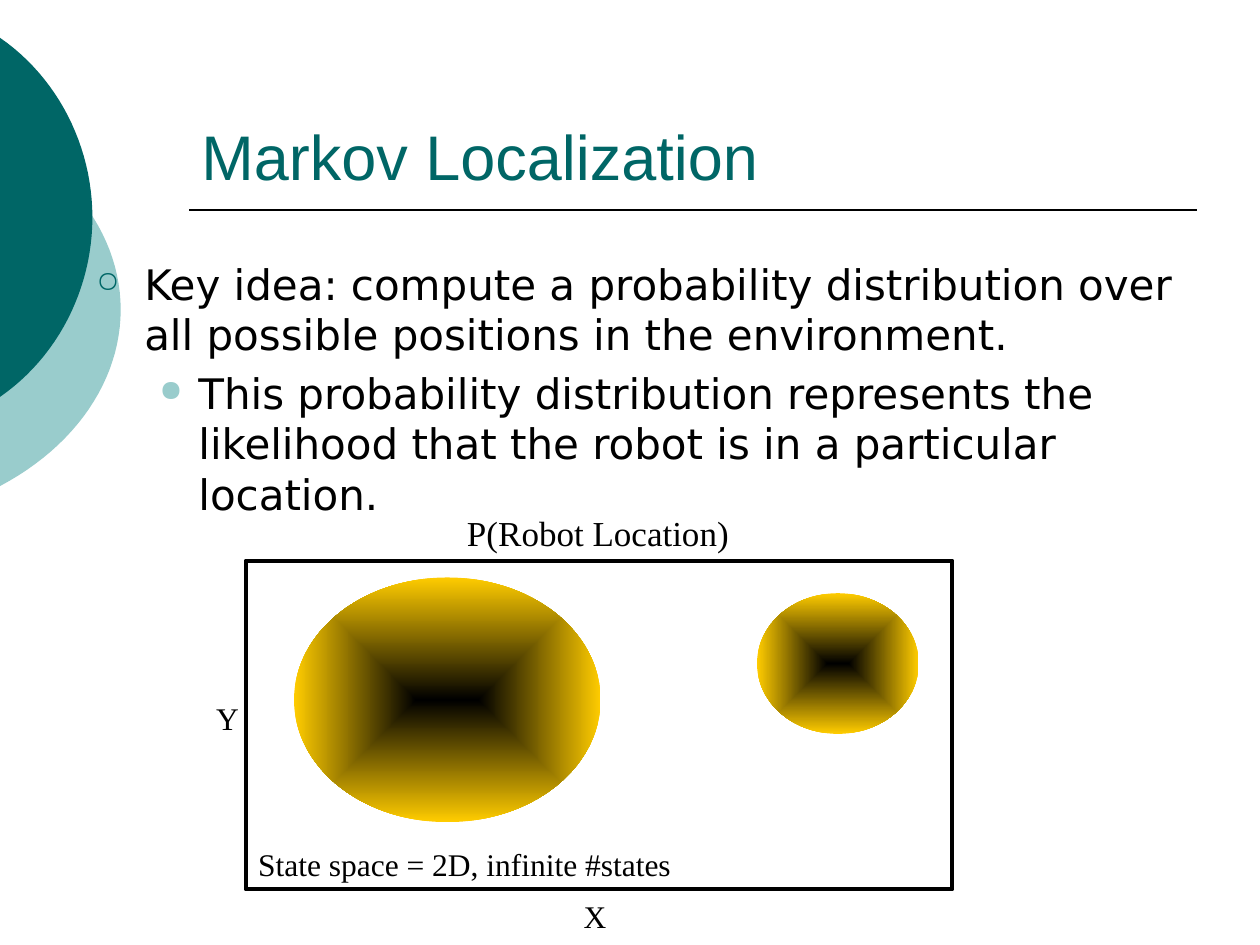
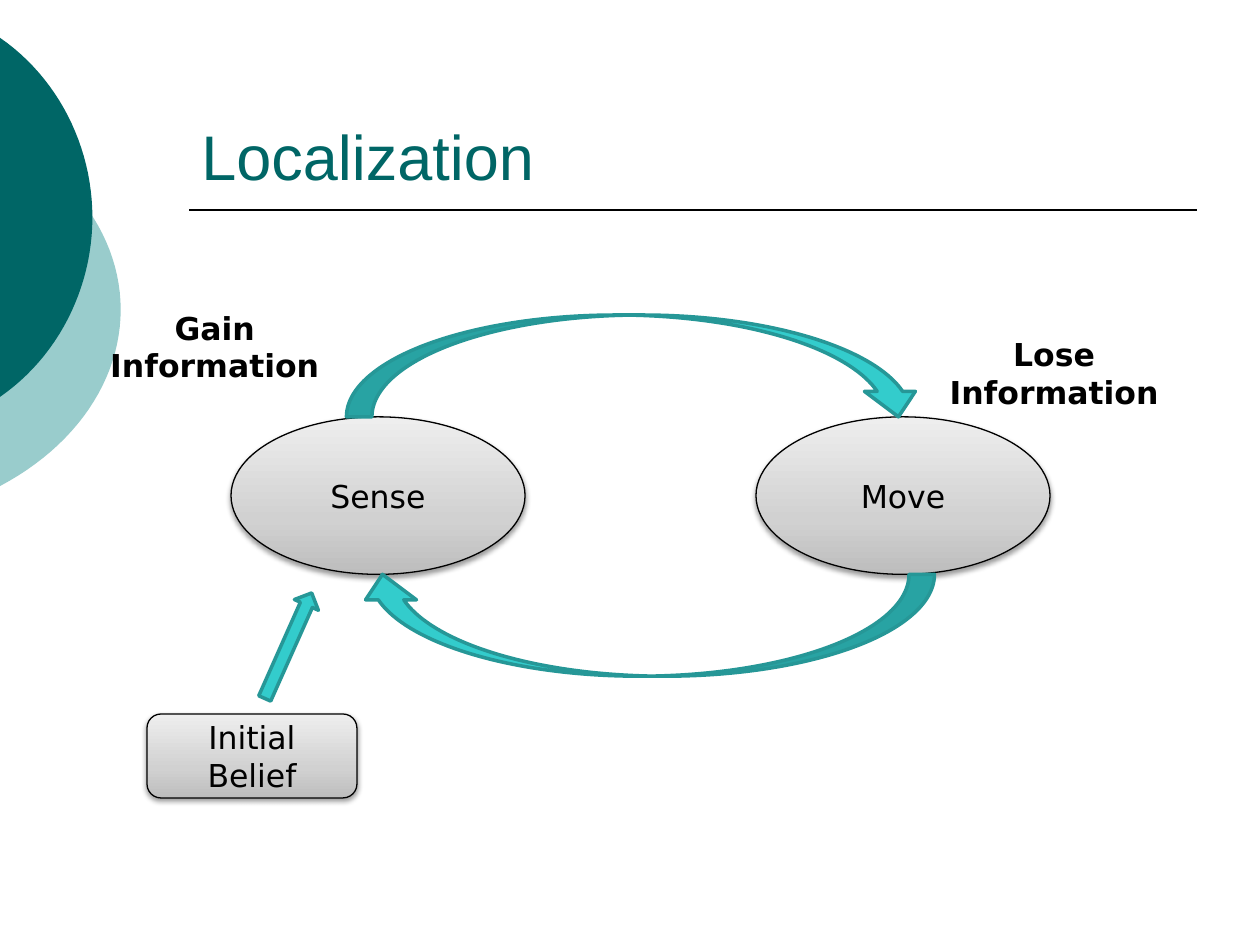
from lxml import etree
from pptx import Presentation
from pptx.dml.color import RGBColor
from pptx.enum.shapes import MSO_CONNECTOR, MSO_SHAPE
from pptx.enum.text import MSO_ANCHOR, PP_ALIGN
from pptx.oxml import parse_xml
from pptx.oxml.ns import nsdecls, qn
from pptx.util import Inches, Pt

DARK_TEAL = RGBColor(0x00, 0x66, 0x66)
PALE_TEAL = RGBColor(0x99, 0xCC, 0xCC)
TURQUOISE = RGBColor(0x33, 0xCC, 0xCC)
TURQUOISE_EDGE = RGBColor(0x26, 0x97, 0x97)
GOLD = RGBColor(0xFF, 0xCC, 0x00)
BLACK = RGBColor(0x00, 0x00, 0x00)
GREYS = [(0, RGBColor(0xBD, 0xBD, 0xBD)), (35, RGBColor(0xD1, 0xD1, 0xD1)),
         (100, RGBColor(0xEE, 0xEE, 0xEE))]
TITLE_FONT, BODY_FONT, LABEL_FONT = "Arial", "DejaVu Sans", "Times New Roman"

OVAL, RECTANGLE = MSO_SHAPE.OVAL, MSO_SHAPE.RECTANGLE
ROUNDED, UP_ARROW = MSO_SHAPE.ROUNDED_RECTANGLE, MSO_SHAPE.UP_ARROW
CURVED_ARROW = MSO_SHAPE.CURVED_DOWN_ARROW
STRAIGHT = MSO_CONNECTOR.STRAIGHT
LEFT, CENTER = PP_ALIGN.LEFT, PP_ALIGN.CENTER
TOP, MIDDLE, BOTTOM = MSO_ANCHOR.TOP, MSO_ANCHOR.MIDDLE, MSO_ANCHOR.BOTTOM

# The slide is a grid of 120 columns by 90 rows of square cells.
CELL = Inches(10) / 120


def add_part(slide, cells, kind=None, text="", size=18, font=BODY_FONT, color=BLACK,
             bold=False, align=LEFT, anchor=TOP, wrap=True, line=None):
    """Add a preset shape, or a text box if kind is None, at cells (left, top, width, height)."""
    box = [round(n * CELL) for n in cells]
    if kind is None:
        part = slide.shapes.add_textbox(*box)
    else:
        part = slide.shapes.add_shape(kind, *box)
        part.shadow.inherit = False
        part.fill.background()
        if line:
            part.line.color.rgb, part.line.width = line[0], Pt(line[1])
        else:
            part.line.fill.background()
    frame = part.text_frame
    frame.word_wrap, frame.vertical_anchor = wrap, anchor
    if text:
        frame.text = text
        for paragraph in frame.paragraphs:
            paragraph.alignment = align
            style = paragraph.runs[0].font
            style.size, style.name, style.bold = Pt(size), font, bold
            style.color.rgb = color
    return part


def fill_gradient(shape, stops, direction):
    stop_xml = "".join(f'<a:gs pos="{share * 1000}"><a:srgbClr val="{color}"/></a:gs>'
                       for share, color in stops)
    no_fill = shape.fill._xPr.find(qn("a:noFill"))
    no_fill.getparent().replace(no_fill, parse_xml(
        f'<a:gradFill {nsdecls("a")} rotWithShape="1"><a:gsLst>{stop_xml}</a:gsLst>'
        f'{direction}</a:gradFill>'))


FROM_CENTER = ('<a:path path="shape"><a:fillToRect l="50000" t="50000" r="50000" b="50000"/>'
               '</a:path>')
UPWARD = '<a:lin ang="16200000" scaled="0"/>'

prs = Presentation()
prs.slide_width, prs.slide_height = Inches(10), Inches(7.5)

# Shared frame: two circle segments at the left edge, title and rule
SEGMENTS = [
    (PALE_TEAL, [(0, 12.7), (7.2, 16.6), (11.5, 22.8), (11.5, 29.5),
                 (11.5, 36.2), (7.2, 42.5), (0, 46.3)]),
    (DARK_TEAL, [(0, 3.6), (5.5, 7.4), (8.8, 13.9), (8.8, 20.7),
                 (8.8, 27.5), (5.5, 34), (0, 37.8)]),
]
STEPS = 24
slides = []
for title in ("Markov Localization", "Localization"):
    slide = prs.slides.add_slide(prs.slide_layouts[6])
    slides.append(slide)
    for color, controls in SEGMENTS:
        outline = []
        for curve in (controls[:4], controls[3:]):
            for step in range(STEPS + 1):
                t = step / STEPS
                weights = ((1 - t) ** 3, 3 * t * (1 - t) ** 2, 3 * t * t * (1 - t), t ** 3)
                outline.append(tuple(
                    round(CELL * sum(w * point[axis] for w, point in zip(weights, curve)))
                    for axis in (0, 1)))
        builder = slide.shapes.build_freeform(*outline[0])
        builder.add_line_segments(outline[1:], close=True)
        segment = builder.convert_to_shape()
        segment.shadow.inherit = False
        segment.fill.solid()
        segment.fill.fore_color.rgb = color
        segment.line.fill.background()
    rule = slide.shapes.add_connector(
        STRAIGHT, *[round(n * CELL) for n in (18, 20, 114, 20)])
    rule.line.color.rgb, rule.line.width = BLACK, Pt(1)
    etree.SubElement(rule._element.spPr, qn("a:effectLst"))
    add_part(slide, (18, 4, 96, 15), text=title, size=36, font=TITLE_FONT,
             color=DARK_TEAL, anchor=BOTTOM)

markov, cycle = slides

# Markov Localization: key idea above a 2D state space
IDEAS = [
    ("Key idea: compute a probability distribution over all possible positions "
     "in the environment.", 0.38, -0.38, "○", DARK_TEAL),
    ("This probability distribution represents the likelihood that the robot is "
     "in a particular location.", 0.81, -0.31, "●", PALE_TEAL),
]
body = add_part(markov, (8, 24, 106, 54), text="\n".join(idea[0] for idea in IDEAS), size=24)
for level, (paragraph, idea) in enumerate(zip(body.text_frame.paragraphs, IDEAS)):
    _, margin, indent, bullet, color = idea
    paragraph.level = level
    paragraph.space_before = Pt(4.8)
    properties = paragraph._p.get_or_add_pPr()
    properties.set("marL", str(Inches(margin)))
    properties.set("indent", str(Inches(indent)))
    for xml in (f'<a:buClr {nsdecls("a")}><a:srgbClr val="{color}"/></a:buClr>',
                f'<a:buSzPct {nsdecls("a")} val="70000"/>',
                f'<a:buChar {nsdecls("a")} char="{bullet}"/>'):
        properties.append(parse_xml(xml))

add_part(markov, (23.4, 53.4, 67.3, 31.3), RECTANGLE, line=(BLACK, 2.25))
for cells in ((28, 55, 29.2, 23.3), (72.1, 56.5, 15.4, 13.4)):
    likely_area = add_part(markov, cells, OVAL)
    fill_gradient(likely_area, [(0, BLACK), (100, GOLD)], FROM_CENTER)
for text, size, cells in (
        ("P(Robot Location)", 20, (43.3, 48.1, 27.6, 5.3)),
        ("X", 18, (54.4, 84.8, 4.6, 4.8)),
        ("Y", 18, (19.4, 66, 4.6, 4.8)),
        ("State space = 2D, infinite #states", 18, (23.4, 79.9, 42.1, 4.8))):
    add_part(markov, cells, text=text, size=size, font=LABEL_FONT, wrap=False)

# Localization: the sense and move cycle
for text, kind, cells in (
        ("Sense", OVAL, (22, 39.7, 28, 15)),
        ("Move", OVAL, (72, 39.7, 28, 15)),
        ("Initial Belief", ROUNDED, (14, 68, 20, 8))):
    state = add_part(cycle, cells, kind, text, align=CENTER, anchor=MIDDLE, line=(BLACK, 0.75))
    fill_gradient(state, GREYS, UPWARD)
    state._element.spPr.find(qn("a:effectLst")).append(parse_xml(
        f'<a:outerShdw {nsdecls("a")} blurRad="{Pt(3.1)}" dist="{Pt(1.6)}" dir="5400000" '
        f'rotWithShape="0"><a:srgbClr val="{BLACK}"><a:alpha val="38000"/></a:srgbClr>'
        '</a:outerShdw>'))

for kind, cells, angle in (
        (CURVED_ARROW, (33, 30, 55, 9.7), 0),
        (CURVED_ARROW, (34, 54.7, 55, 9.7), 180),
        (UP_ARROW, (26.2, 56, 2.5, 11), 24)):
    arrow = add_part(cycle, cells, kind, line=(TURQUOISE_EDGE, 2))
    arrow.fill.solid()
    arrow.fill.fore_color.rgb = TURQUOISE
    arrow.rotation = angle

for text, cells in (("Gain Information", (9, 28.8, 22.9, 8.5)),
                    ("Lose\nInformation", (88.9, 31.3, 23, 8.5))):
    add_part(cycle, cells, text=text, bold=True, align=CENTER)

prs.save("out.pptx")
